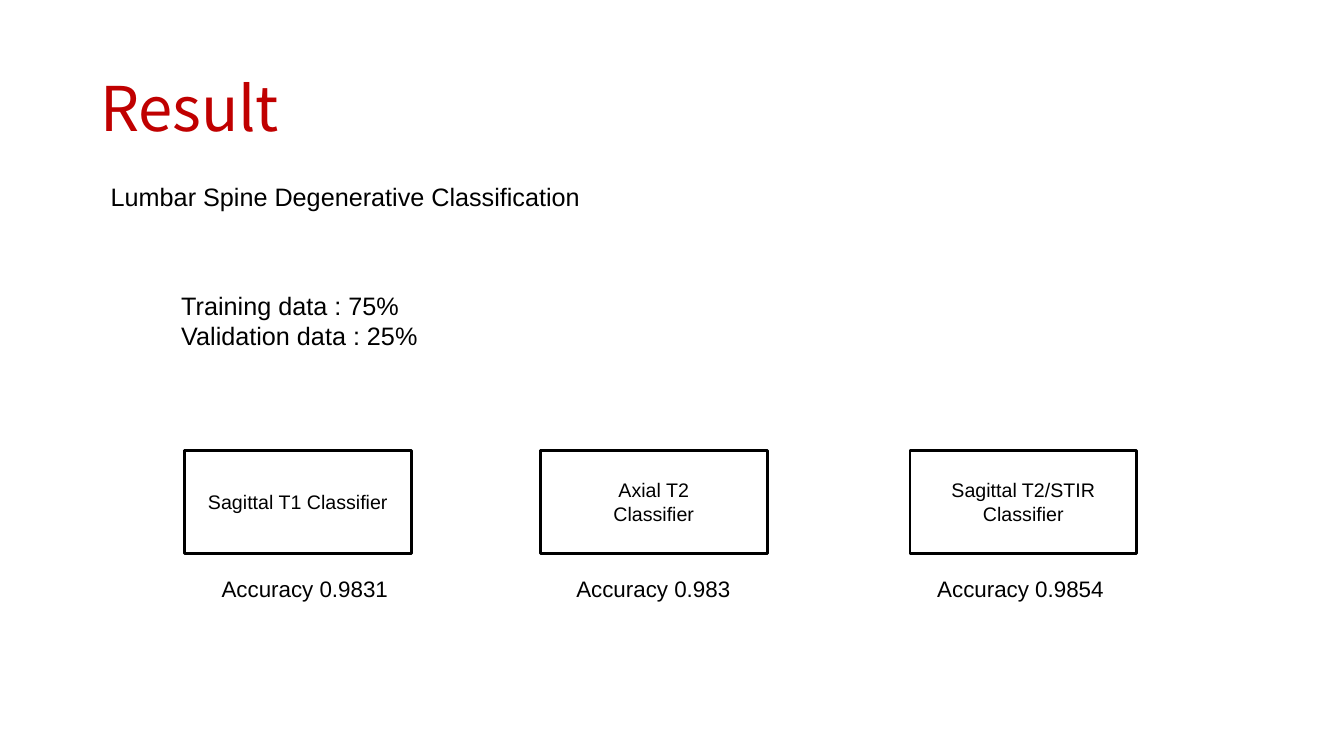
import pptx
import pptx.dml.color
import pptx.enum.shapes
import pptx.enum.text
import pptx.util

Pt = pptx.util.Pt
RGB = pptx.dml.color.RGBColor.from_string
ALIGN = pptx.enum.text.PP_ALIGN
ANCHOR = pptx.enum.text.MSO_ANCHOR

# Content: lines, then left, top, width, height in points
TITLE = (["Result"], (72, 48.2, 642, 54.7))
NOTES = [
    (["Lumbar Spine Degenerative Classification"], (72, 126, 351.4, 29)),
    (["Training data : 75%", "Validation data : 25%"], (122.4, 203.8, 240.5, 51)),
]
# Classifier lines, box left, accuracy, accuracy left
CLASSIFIERS = [
    (["Sagittal T1 Classifier"], 131.8, "Accuracy 0.9831", 151.2),
    (["Axial T2", "Classifier"], 386, "Accuracy 0.983", 404.6),
    (["Sagittal T2/STIR", "Classifier"], 650, "Accuracy 0.9854", 662.4),
]
BOX_TOP, BOX_WIDTH, BOX_HEIGHT = 321.8, 162, 73.4
ACCURACY_TOP, ACCURACY_WIDTH, ACCURACY_HEIGHT = 407.5, 136.8, 26.6

THEME = {
    "ink": RGB("000000"),
    "paper": RGB("FFFFFF"),
    "title": {"name": "Noto Sans CJK KR", "size": Pt(44), "color": RGB("C00000")},
    "body": {"name": "Arial", "size": Pt(18)},
    "accuracy": {"name": "Arial", "size": Pt(16)},
    "box": {"name": "Arial", "size": Pt(14)},
}


def write(box, lines, style, align=ALIGN.LEFT, **frame_format):
    frame = box.text_frame
    for name, value in {"word_wrap": True, **frame_format}.items():
        setattr(frame, name, value)
    for index, line in enumerate(lines):
        para = frame.paragraphs[0] if index == 0 else frame.add_paragraph()
        para.alignment = align
        span = para.add_run()
        span.text = line
        font_format = dict(THEME[style])
        span.font.color.rgb = font_format.pop("color", THEME["ink"])
        for name, value in font_format.items():
            setattr(span.font, name, value)
    return frame


def add_text(page, lines, place, style, **frame_format):
    box = page.shapes.add_textbox(*map(Pt, place))
    return write(box, lines, style, **frame_format)


def add_classifier(page, lines, left):
    box = page.shapes.add_shape(
        pptx.enum.shapes.MSO_SHAPE.RECTANGLE,
        *map(Pt, (left, BOX_TOP, BOX_WIDTH, BOX_HEIGHT)))
    box.shadow.inherit = False
    box.fill.solid()
    box.fill.fore_color.rgb = THEME["paper"]
    box.line.color.rgb = THEME["ink"]
    box.line.width = Pt(2)
    write(box, lines, "box", ALIGN.CENTER, vertical_anchor=ANCHOR.MIDDLE)


def main():
    deck = pptx.Presentation()
    deck.slide_width, deck.slide_height = Pt(960), Pt(540)
    page = deck.slides.add_slide(deck.slide_layouts[6])

    # Title
    frame = add_text(page, *TITLE, "title", vertical_anchor=ANCHOR.MIDDLE,
                     margin_left=0, margin_right=0, margin_top=Pt(1), margin_bottom=0)
    frame.paragraphs[0].space_before = Pt(1.1)
    frame.paragraphs[0].runs[0].font._element.set("spc", "-20")

    # Subject and data split
    for lines, place in NOTES:
        add_text(page, lines, place, "body")

    # Classifiers with their accuracy below
    for lines, left, accuracy, accuracy_left in CLASSIFIERS:
        add_classifier(page, lines, left)
        place = (accuracy_left, ACCURACY_TOP, ACCURACY_WIDTH, ACCURACY_HEIGHT)
        add_text(page, [accuracy], place, "accuracy")

    deck.save("out.pptx")


if __name__ == "__main__":
    main()
